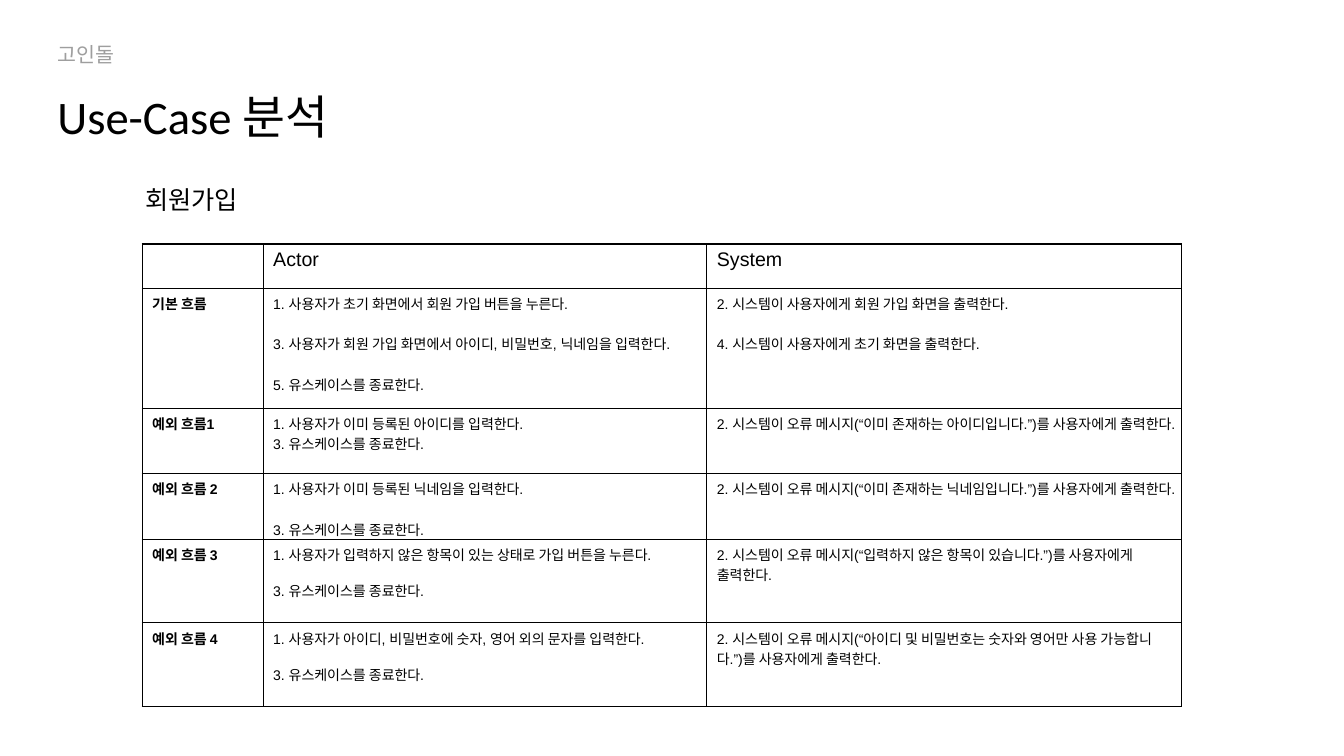
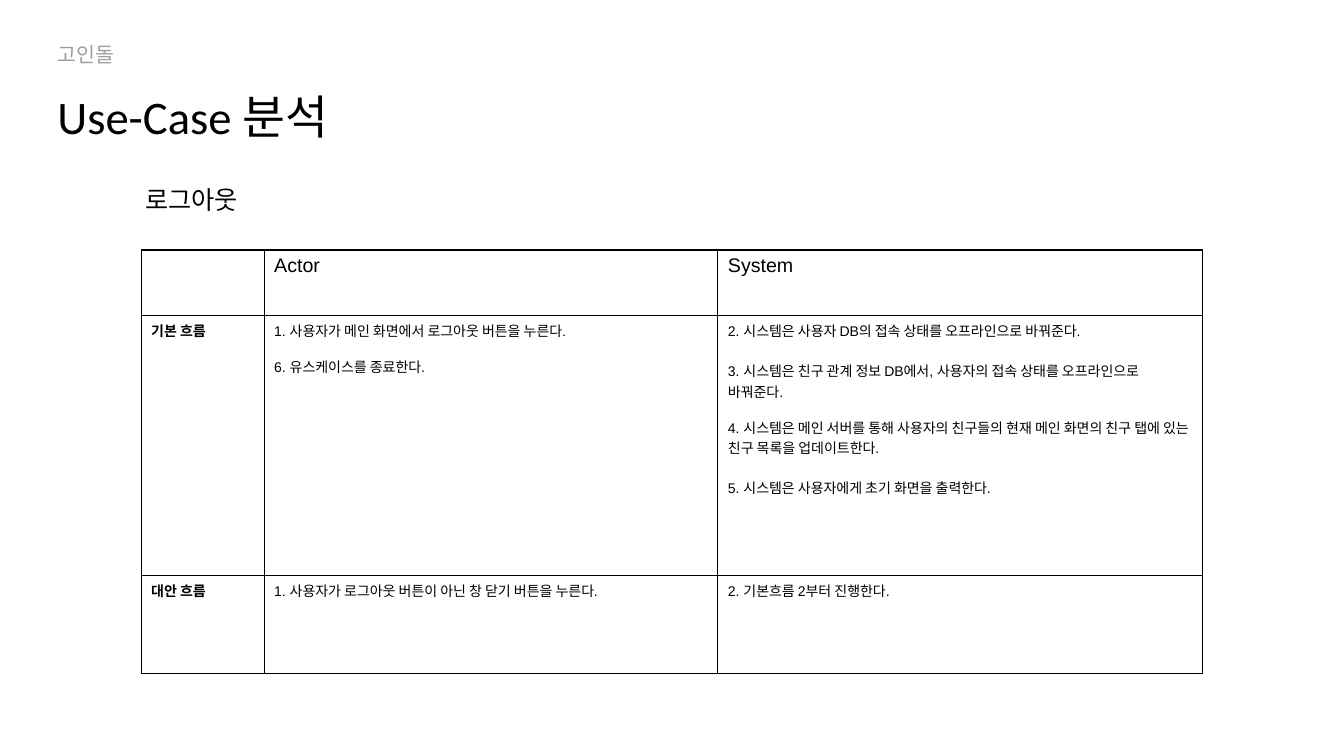
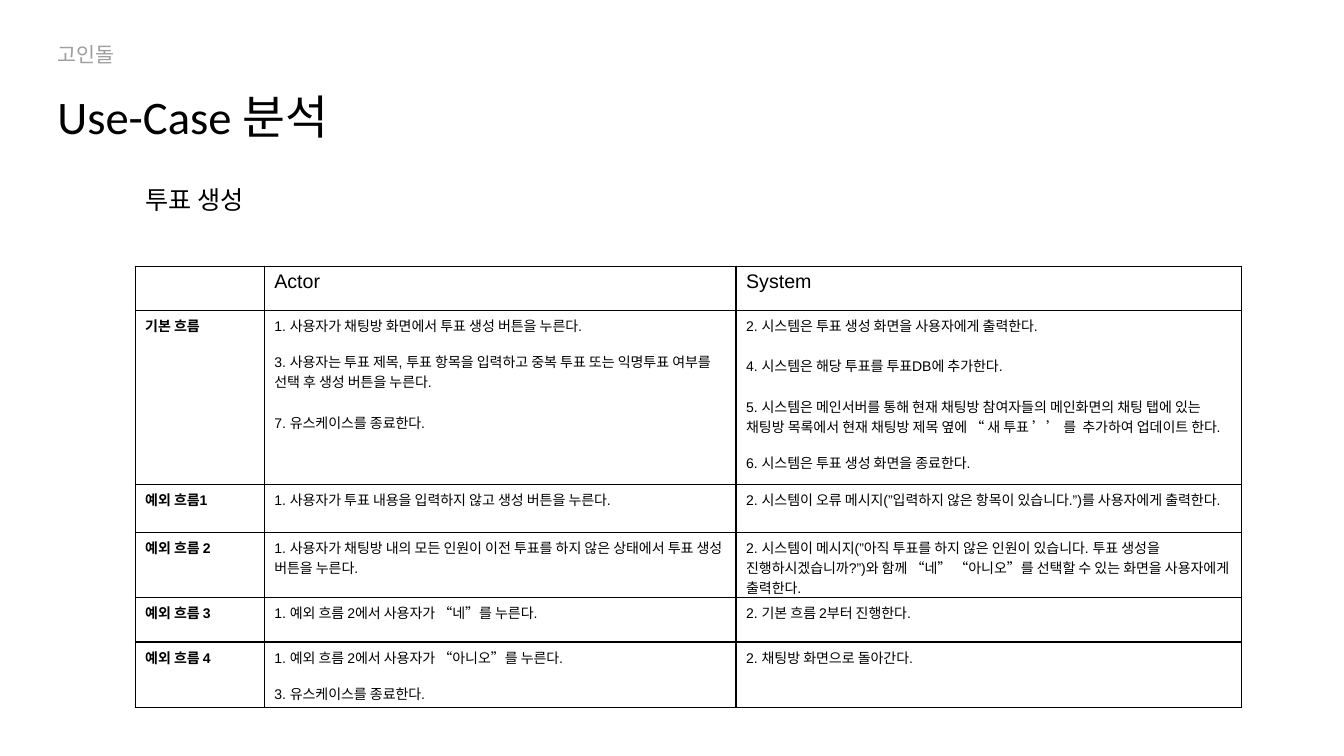
from lxml import etree
from pptx import Presentation
from pptx.dml.color import RGBColor
from pptx.enum.text import MSO_AUTO_SIZE
from pptx.oxml.ns import qn
from pptx.util import Inches, Pt

FIT_SHAPE = MSO_AUTO_SIZE.SHAPE_TO_FIT_TEXT
BLACK = RGBColor(0x00, 0x00, 0x00)
GREY = RGBColor(0x9E, 0x9E, 0x9E)
WHITE = RGBColor(0xFF, 0xFF, 0xFF)
HEAD_FONT = "Calibri"
TABLE_FONT = "Arial"
TIGHT, NARROW, WIDE = 0, 11.4, 14.4
END = "유스케이스를 종료한다."

USE_CASES = [
    {
        "name": "회원가입",
        "at": (1.41, 2.42),
        "cols": [1.2, 4.4, 4.71],
        "heights": [0.44, 1.19, 0.65, 0.65, 0.83, 0.83],
        "flows": [
            ("기본 흐름",
             [(TIGHT, "1. 사용자가 초기 화면에서 회원 가입 버튼을 누른다."),
              (WIDE, "3. 사용자가 회원 가입 화면에서 아이디, 비밀번호, 닉네임을 입력한다."),
              (WIDE, "5. " + END)],
             [(TIGHT, "2. 시스템이 사용자에게 회원 가입 화면을 출력한다."),
              (WIDE, "4. 시스템이 사용자에게 초기 화면을 출력한다.")]),
            ("예외 흐름1",
             [(TIGHT, "1. 사용자가 이미 등록된 아이디를 입력한다."),
              (TIGHT, "3. " + END)],
             [(TIGHT, "2. 시스템이 오류 메시지(“이미 존재하는 아이디입니다.”)를 사용자에게 출력한다.")]),
            ("예외 흐름 2",
             [(TIGHT, "1. 사용자가 이미 등록된 닉네임을 입력한다."),
              (WIDE, "3. " + END)],
             [(TIGHT, "2. 시스템이 오류 메시지(“이미 존재하는 닉네임입니다.”)를 사용자에게 출력한다.")]),
            ("예외 흐름 3",
             [(TIGHT, "1. 사용자가 입력하지 않은 항목이 있는 상태로 가입 버튼을 누른다."),
              (NARROW, "3. " + END)],
             [(TIGHT, "2. 시스템이 오류 메시지(“입력하지 않은 항목이 있습니다.”)를 사용자에게 출력한다.")]),
            ("예외 흐름 4",
             [(TIGHT, "1. 사용자가 아이디, 비밀번호에 숫자, 영어 외의 문자를 입력한다."),
              (NARROW, "3. " + END)],
             [(TIGHT, "2. 시스템이 오류 메시지(“아이디 및 비밀번호는 숫자와 영어만 사용 가능합니다.”)를 "
                      "사용자에게 출력한다.")]),
        ],
    },
    {
        "name": "로그아웃",
        "at": (1.4, 2.48),
        "cols": [1.22, 4.5, 4.81],
        "heights": [0.65, 2.58, 0.97],
        "flows": [
            ("기본 흐름",
             [(TIGHT, "1. 사용자가 메인 화면에서 로그아웃 버튼을 누른다."),
              (NARROW, "6. " + END)],
             [(TIGHT, "2. 시스템은 사용자 DB의 접속 상태를 오프라인으로 바꿔준다."),
              (WIDE, "3. 시스템은 친구 관계 정보 DB에서, 사용자의 접속 상태를 오프라인으로 바꿔준다."),
              (NARROW, "4. 시스템은 메인 서버를 통해 사용자의 친구들의 현재 메인 화면의 친구 탭에 "
                       "있는 친구 목록을 업데이트한다."),
              (WIDE, "5. 시스템은 사용자에게 초기 화면을 출력한다.")]),
            ("대안 흐름",
             [(TIGHT, "1. 사용자가 로그아웃 버튼이 아닌 창 닫기 버튼을 누른다.")],
             [(TIGHT, "2. 기본흐름 2부터 진행한다.")]),
        ],
    },
    {
        "name": "투표 생성",
        "at": (1.34, 2.64),
        "cols": [1.28, 4.68, 5.01],
        "heights": [0.44, 1.73, 0.47, 0.65, 0.44, 0.65],
        "flows": [
            ("기본 흐름",
             [(TIGHT, "1. 사용자가 채팅방 화면에서 투표 생성 버튼을 누른다."),
              (NARROW, "3. 사용자는 투표 제목, 투표 항목을 입력하고 중복 투표 또는 익명투표 "
                       "여부를 선택 후 생성 버튼을 누른다."),
              (WIDE, "7. " + END)],
             [(TIGHT, "2. 시스템은 투표 생성 화면을 사용자에게 출력한다."),
              (WIDE, "4. 시스템은 해당 투표를 투표DB에 추가한다."),
              (WIDE, "5. 시스템은 메인서버를 통해 현재 채팅방 참여자들의 메인화면의 채팅 탭에 있는 "
                     "채팅방 목록에서 현재 채팅방 제목 옆에 “ 새 투표 ’’ 를  추가하여 업데이트 한다."),
              (NARROW, "6. 시스템은 투표 생성 화면을 종료한다.")]),
            ("예외 흐름1",
             [(TIGHT, "1. 사용자가 투표 내용을 입력하지 않고 생성 버튼을 누른다.")],
             [(TIGHT, "2. 시스템이 오류 메시지(”입력하지 않은 항목이 있습니다.”)를 사용자에게 출력한다.")]),
            ("예외 흐름 2",
             [(TIGHT, "1. 사용자가 채팅방 내의 모든 인원이 이전 투표를 하지 않은 상태에서 투표 "
                      "생성 버튼을 누른다.")],
             [(TIGHT, "2. 시스템이 메시지(”아직 투표를 하지 않은 인원이 있습니다. 투표 생성을 "
                      "진행하시겠습니까?”)와 함께 “네” “아니오”를 선택할 수 있는 화면을 사용자에게 "
                      "출력한다.")]),
            ("예외 흐름 3",
             [(TIGHT, "1. 예외 흐름 2에서 사용자가 “네”를 누른다.")],
             [(TIGHT, "2. 기본 흐름 2부터 진행한다.")]),
            ("예외 흐름 4",
             [(TIGHT, "1. 예외 흐름 2에서 사용자가 “아니오”를 누른다."),
              (NARROW, "3. " + END)],
             [(TIGHT, "2. 채팅방 화면으로 돌아간다.")]),
        ],
    },
]


def add_run(p, text, size, font, color=BLACK, bold=False):
    r = p.add_run()
    r.text = text
    r.font.size = Pt(size)
    r.font.name = font
    r.font.bold = bold
    r.font.color.rgb = color


def style_cell(cell):
    cell.margin_bottom = 0
    tcPr = cell._tc.get_or_add_tcPr()
    for side in ("a:lnL", "a:lnR", "a:lnT", "a:lnB"):
        ln = etree.SubElement(tcPr, qn(side), w=str(Pt(1)))
        fill = etree.SubElement(ln, qn("a:solidFill"))
        etree.SubElement(fill, qn("a:srgbClr"), val=str(BLACK))
    cell.fill.solid()
    cell.fill.fore_color.rgb = WHITE


prs = Presentation()
prs.slide_width = Inches(13.33)
prs.slide_height = Inches(7.5)

for case in USE_CASES:
    s = prs.slides.add_slide(prs.slide_layouts[6])

    for text, x, y, w, h, size, color in [
        ("고인돌", 0.47, 0.37, 2.83, 0.35, 14.7, GREY),
        ("Use-Case 분석", 0.47, 0.82, 5.28, 0.66, 33.3, BLACK),
        (case["name"], 1.34, 1.78, 2.76, 0.41, 18, BLACK),
    ]:
        tf = s.shapes.add_textbox(Inches(x), Inches(y), Inches(w), Inches(h)).text_frame
        tf.word_wrap = True
        tf.auto_size = FIT_SHAPE
        add_run(tf.paragraphs[0], text, size, HEAD_FONT, color)

    x, y = case["at"]
    cols, heights = case["cols"], case["heights"]
    table = s.shapes.add_table(len(heights), len(cols), Inches(x), Inches(y),
                               Inches(sum(cols)), Inches(sum(heights))).table
    table.first_row = False
    table.horz_banding = False
    for col, width in zip(table.columns, cols):
        col.width = Inches(width)
    for row, height in zip(table.rows, heights):
        row.height = Inches(height)
    for cell in table.iter_cells():
        style_cell(cell)

    for c, heading in enumerate(["Actor", "System"], 1):
        add_run(table.cell(0, c).text_frame.paragraphs[0], heading, 14, TABLE_FONT)

    for i, (label, actor, system) in enumerate(case["flows"], 1):
        add_run(table.cell(i, 0).text_frame.paragraphs[0], label, 10, TABLE_FONT, bold=True)
        for c, steps in enumerate([actor, system], 1):
            tf = table.cell(i, c).text_frame
            for n, (gap, step) in enumerate(steps):
                p = tf.add_paragraph() if n else tf.paragraphs[0]
                p.space_before = Pt(gap)
                add_run(p, step, 10, TABLE_FONT)

prs.save("out.pptx")
